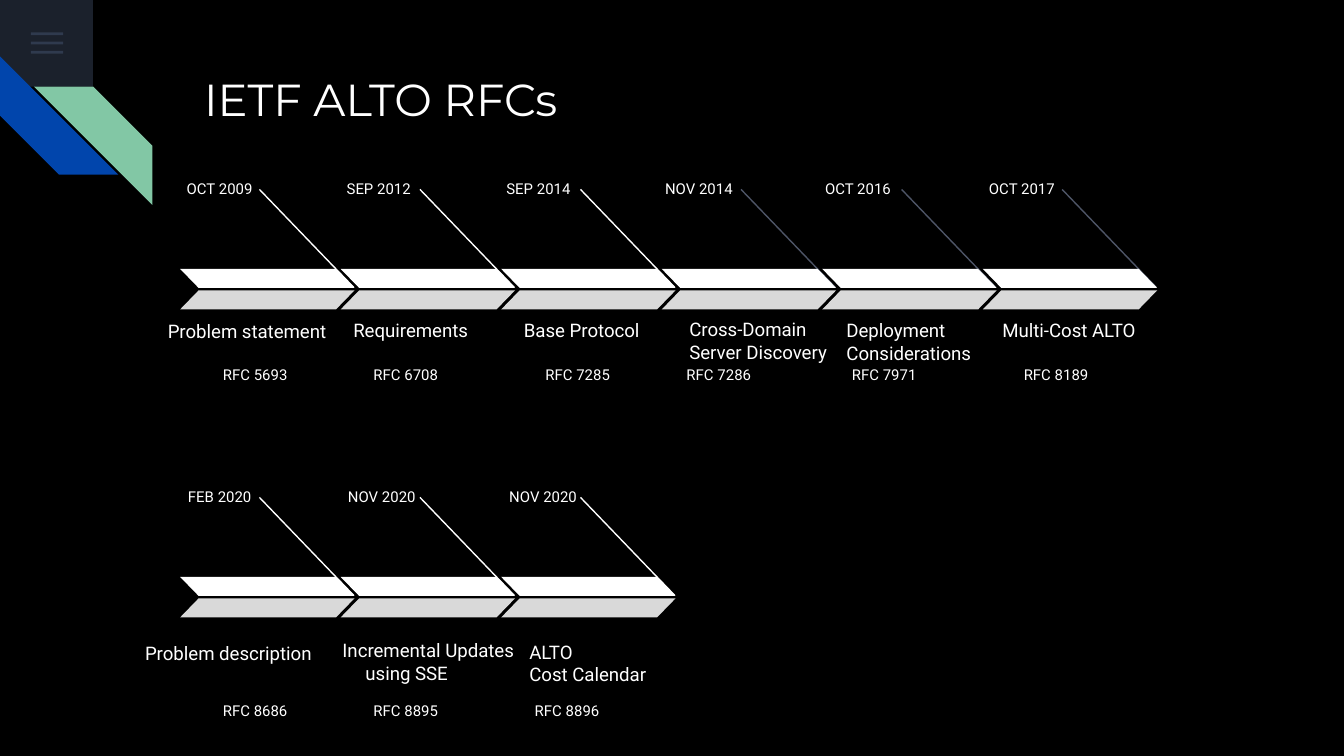
from lxml import etree
from pptx import Presentation
from pptx.dml.color import RGBColor
from pptx.enum import shapes, text
from pptx.oxml.ns import qn
from pptx.util import Pt

THEME = {
    "background": "000000", "text": "FFFFFF",
    "upper": "FFFFFF", "lower": "D9D9D9", "muted": "4E5567",
    "corner": "1B212C", "menu": "55688B", "blue": "0145AC", "green": "82C7A5",
    "heading_font": "Montserrat", "body_font": "Roboto",
    "title": 24, "label": 10, "small": 8,
}

TITLE = "IETF ALTO RFCs"

# Milestone: (date, left, width), (label, left, top, width, height),
# (RFC, left, width), leader colour. "\v" breaks a line,
# "\n" starts an indented one.
ROWS = [
    {"top": 144, "rfc_top": 188.6, "milestones": [
        (("OCT 2009", 92.9, 82), ("Problem statement", 82.8, 166.3, 123, 24.5),
         ("RFC 5693", 112.3, 60), "upper"),
        (("SEP 2012", 178.6, 82), ("Requirements", 182.2, 158.4, 89.3, 31.7),
         ("RFC 6708", 193, 105), "upper"),
        (("SEP 2014", 264.2, 82), ("Base Protocol", 273.6, 158.4, 89.3, 31.7),
         ("RFC 7285", 285.1, 105), "upper"),
        (("NOV 2014", 349.2, 66), ("Cross-Domain\vServer Discovery", 362.2, 158.4, 89.3, 43.2),
         ("RFC 7286", 360.7, 105), "muted"),
        (("OCT 2016", 434.9, 60), ("Deployment\vConsiderations", 446.4, 158.4, 89.3, 43.9),
         ("RFC 7971", 449.3, 105), "muted"),
        (("OCT 2017", 522.7, 60), ("Multi-Cost ALTO", 529.9, 158.4, 89.3, 31.7),
         ("RFC 8189", 541.4, 105), "muted"),
    ]},
    {"top": 309, "rfc_top": 368.6, "milestones": [
        (("FEB 2020", 93.6, 82), ("Problem description", 70.6, 331.2, 123, 31.7),
         ("RFC 8686", 112.3, 105), "upper"),
        (("NOV 2020", 179.3, 82), ("Incremental Updates\nusing SSE", 176.4, 349.2, 112.3, 24.5),
         ("RFC 8895", 193, 105), "upper"),
        (("NOV 2020", 265.7, 82), ("ALTO\vCost Calendar", 276.5, 342.7, 103.7, 31.7),
         ("RFC 8896", 279.4, 105), "upper"),
    ]},
]

FIRST_LEFT, PITCH = 96.5, 86
BAR_W, BAR_H, LOWER_DY = 93.5, 10.3, 11.5
DATE_DY, DATE_H, RFC_H = -55, 16.6, 24.5
LEADER = (42.5, -42.5, 93, 10)
SECOND_LINE_INDENT = 12.3


def color(name):
    return RGBColor.from_string(THEME[name])


def add_block(s, preset, left, top, width, height, fill, adjust=None, flip=False):
    sp = s.shapes.add_shape(preset, Pt(left), Pt(top), Pt(width), Pt(height))
    sp.shadow.inherit = False
    sp.fill.solid()
    sp.fill.fore_color.rgb = color(fill)
    sp.line.fill.background()
    if adjust is not None:
        sp.adjustments[0] = adjust
    if flip:
        sp.element.spPr.find(qn("a:xfrm")).set("flipH", "1")
    return sp


def style_frame(tf, size, font, anchor, align):
    tf.word_wrap = True
    tf.auto_size = text.MSO_AUTO_SIZE.NONE
    tf.vertical_anchor = anchor
    tf.margin_left = tf.margin_right = tf.margin_top = tf.margin_bottom = Pt(7.2)
    for p in tf.paragraphs:
        p.alignment = align
        for r in p.runs:
            r.font.size = Pt(THEME[size])
            r.font.name = THEME[font]
            r.font.color.rgb = color("text")


def add_text(s, words, left, top, width, height, size="small",
             anchor=text.MSO_ANCHOR.TOP, align=text.PP_ALIGN.LEFT):
    tf = s.shapes.add_textbox(Pt(left), Pt(top), Pt(width), Pt(height)).text_frame
    tf.text = words
    style_frame(tf, size, "body_font", anchor, align)
    for p in tf.paragraphs[1:]:
        p._p.get_or_add_pPr().set("marL", str(Pt(SECOND_LINE_INDENT)))


def add_leader(s, x, y, stroke):
    x1, y1, x2, y2 = LEADER
    line = s.shapes.add_connector(shapes.MSO_CONNECTOR.STRAIGHT,
                                  Pt(x + x1), Pt(y + y1), Pt(x + x2), Pt(y + y2))
    line.line.color.rgb = color(stroke)
    line.line.width = Pt(0.75)
    etree.SubElement(line._element.spPr, qn("a:effectLst"))


def add_corner(s):
    kind = shapes.MSO_SHAPE
    add_block(s, kind.RECTANGLE, 0, 0, 49.8, 46.4, "corner")
    for i in range(3):
        bar = add_block(s, kind.RECTANGLE, 16.6, 17.3 + 4.95 * i, 17.3, 1.5, "menu")
        rgb = bar.element.spPr.find(".//" + qn("a:srgbClr"))
        etree.SubElement(rgb, qn("a:alpha"), val="36000")
    stripe = add_block(s, kind.DIAGONAL_STRIPE, 0, 30.2, 63.4, 63.4, "blue", 0.5)
    stripe.rotation = 270
    add_block(s, kind.DIAGONAL_STRIPE, 18.2, 46.4, 63.4, 63.4, "green", 0.5, flip=True)


def add_milestone(s, x, row, date, label, rfc, stroke):
    y = row["top"]
    words, left, width = date
    add_text(s, words, left, y + DATE_DY, width, DATE_H, align=text.PP_ALIGN.JUSTIFY)
    add_leader(s, x, y, stroke)
    bar = shapes.MSO_SHAPE.PARALLELOGRAM
    add_block(s, bar, x, y, BAR_W, BAR_H, "upper", 0.97, flip=True)
    add_block(s, bar, x, y + LOWER_DY, BAR_W, BAR_H, "lower", 0.97)
    add_text(s, *label, size="label", anchor=text.MSO_ANCHOR.BOTTOM)
    words, left, width = rfc
    add_text(s, words, left, row["rfc_top"], width, RFC_H)


def main():
    prs = Presentation()
    prs.slide_width, prs.slide_height = Pt(720), Pt(405)
    s = prs.slides.add_slide(prs.slide_layouts[5])
    s.background.fill.solid()
    s.background.fill.fore_color.rgb = color("background")

    add_corner(s)
    title = s.shapes.title
    title.left, title.top, title.width, title.height = Pt(102.2), Pt(31), Pt(554.4), Pt(43.2)
    title.text_frame.text = TITLE
    style_frame(title.text_frame, "title", "heading_font",
                text.MSO_ANCHOR.TOP, text.PP_ALIGN.LEFT)

    for row in ROWS:
        for i, milestone in enumerate(row["milestones"]):
            add_milestone(s, FIRST_LEFT + i * PITCH, row, *milestone)
    prs.save("out.pptx")


if __name__ == "__main__":
    main()
